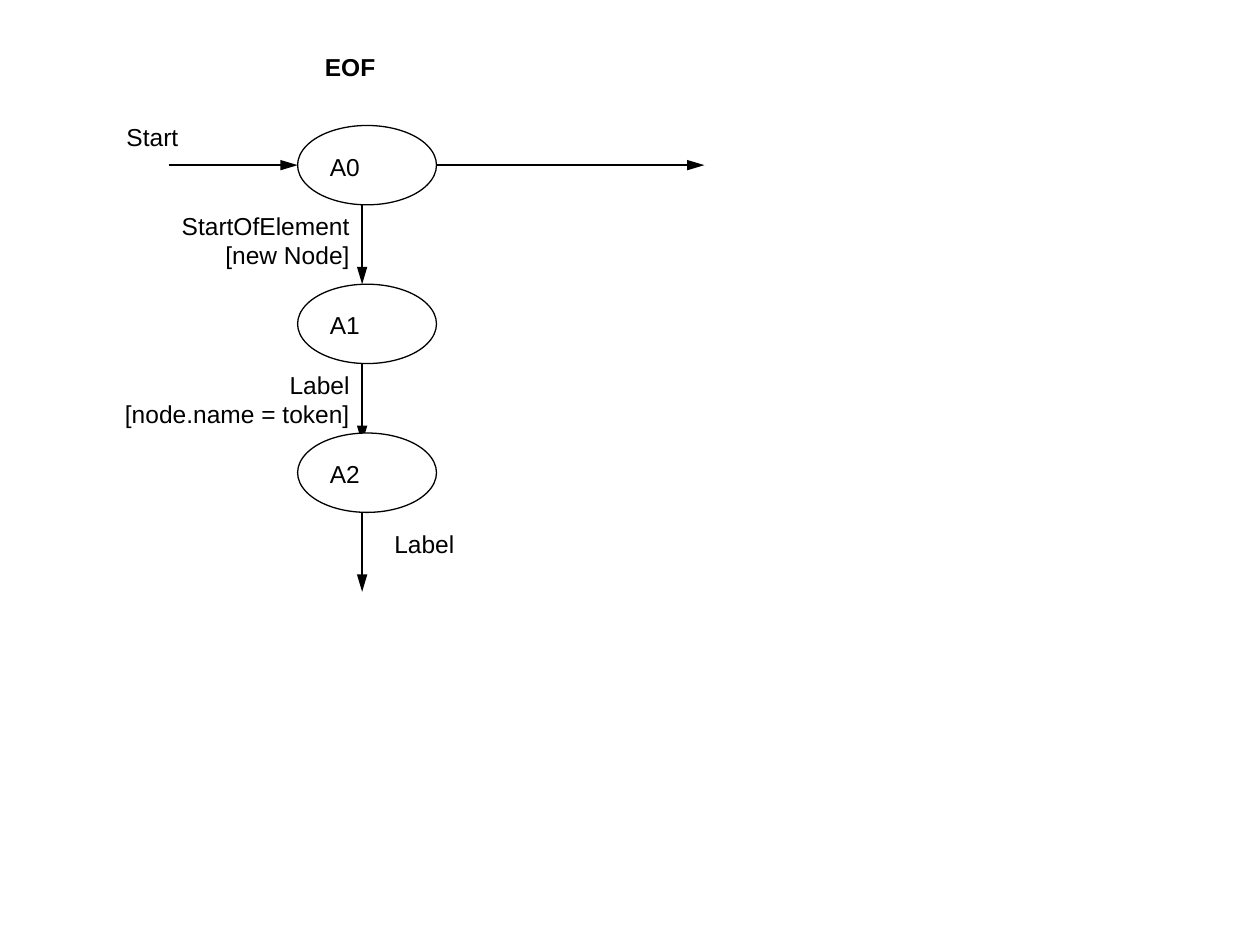
from pptx import Presentation
from pptx.dml.color import RGBColor
from pptx.enum.shapes import MSO_CONNECTOR, MSO_SHAPE
from pptx.enum.text import MSO_AUTO_SIZE, PP_ALIGN
from pptx.oxml.ns import qn
from pptx.util import Cm, Inches, Pt
from lxml import etree

LINE = MSO_CONNECTOR.STRAIGHT
OVAL = MSO_SHAPE.OVAL
FIXED = MSO_AUTO_SIZE.NONE
LEFT, RIGHT = PP_ALIGN.LEFT, PP_ALIGN.RIGHT


def color(code):
    return RGBColor.from_string(code)


class Chart:
    """Draws a state chart on a square grid whose row 0 is the top of the first state."""

    font, size, ink, paper = "Arial", Pt(14), "000000", "FFFFFF"
    cell, top, weight = Cm(0.4), Cm(2.53), Pt(0.75)

    def __init__(self, slide):
        self.shapes = slide.shapes

    def place(self, col, row):
        return round(col * self.cell), round(self.top + row * self.cell)

    def span(self, wide, high):
        return round(wide * self.cell), round(high * self.cell)

    def stroke(self, line):
        line.color.rgb = color(self.ink)
        line.width = self.weight

    def text(self, col, row, wide, *lines, align=LEFT, bold=False):
        high = 0.7 + 1.45 * len(lines)
        box = self.shapes.add_textbox(*self.place(col, row), *self.span(wide, high))
        frame = box.text_frame
        frame.word_wrap = True
        frame.auto_size = FIXED
        frame.text = "\n".join(lines)
        for para in frame.paragraphs:
            para.alignment = align
            para.font.name = self.font
            para.font.size = self.size
            para.font.bold = bold
            para.font.color.rgb = color(self.ink)

    def state(self, row, name):
        oval = self.shapes.add_shape(OVAL, *self.place(15, row), *self.span(7, 4))
        oval.shadow.inherit = False
        oval.fill.solid()
        oval.fill.fore_color.rgb = color(self.paper)
        self.stroke(oval.line)
        self.text(16, row + 1, 3, name)

    def arrow(self, start, end):
        link = self.shapes.add_connector(LINE, *self.place(*start), *self.place(*end))
        self.stroke(link.line)
        props = link.line._get_or_add_ln()
        etree.SubElement(props, qn("a:tailEnd"), type="triangle", w="med", len="lg")
        etree.SubElement(link._element.spPr, qn("a:effectLst"))


def main():
    deck = Presentation()
    deck.slide_width, deck.slide_height = Inches(10), Inches(7.5)
    chart = Chart(deck.slides.add_slide(deck.slide_layouts[6]))

    stem = 18.25
    for index, row in enumerate((0, 8, 15.5)):
        chart.state(row, f"A{index}")
        chart.arrow((stem, row + 4), (stem, row + 8))

    chart.arrow((8.5, 2), (15, 2))
    chart.arrow((22, 2), (35.5, 2))

    chart.text(15.75, -4, 4, "EOF", bold=True)
    chart.text(5.75, -0.5, 4.25, "Start")
    chart.text(8.25, 4, 10, "StartOfElement", "[new Node]", align=RIGHT)
    chart.text(5.25, 12, 13, "Label", "[node.name = token]", align=RIGHT)
    chart.text(19.25, 20, 4.5, "Label")
    deck.save("out.pptx")


if __name__ == "__main__":
    main()
